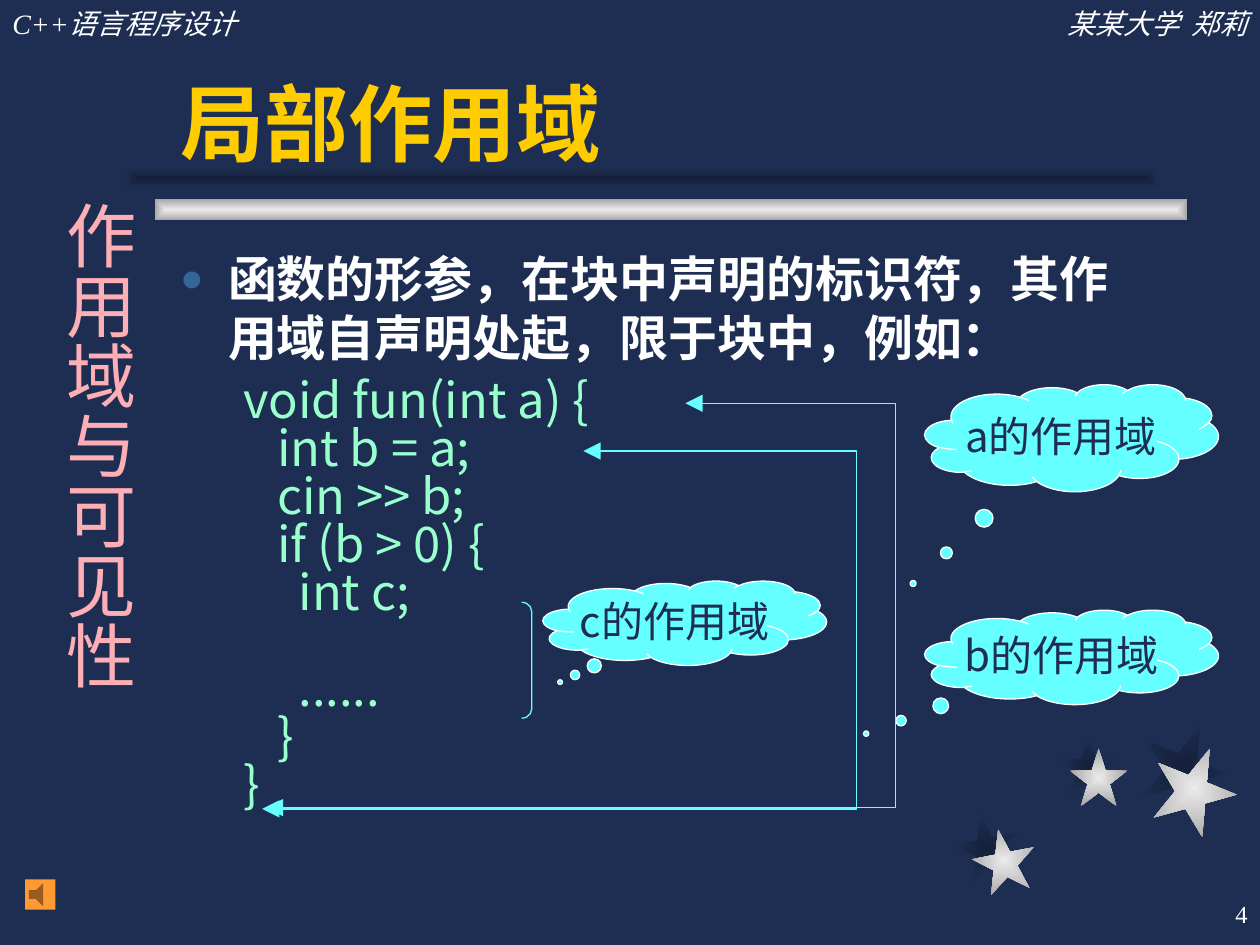
from lxml import etree
from pptx import Presentation
from pptx.dml.color import RGBColor
from pptx.enum import shapes, text
from pptx.oxml import ns
from pptx.util import Inches, Pt

COLORS = {
    "navy": "1E2E53", "shade": "15213B", "silver": "EAEAEA", "gray": "A7A7A7",
    "white": "FFFFFF", "gold": "FFCC00", "mint": "99FFCC", "cyan": "66FFFF",
    "pink": "FDAFB5", "bullet": "336699", "orange": "FF9933",
}
SANS, SERIF, TITLE = "Noto Sans CJK SC", "Times New Roman", "Arial"
SHAPE, ALIGN, ANCHOR = shapes.MSO_SHAPE, text.PP_ALIGN, text.MSO_ANCHOR


def rgb(name):
    return RGBColor.from_string(COLORS[name])


def child(parent, tag, **attrs):
    return etree.SubElement(parent, ns.qn(tag), attrs)


def add_run(p, words, size, color, font=SANS, bold=False, italic=False):
    r = p.add_run()
    r.text = words
    f = r.font
    f.size, f.name, f.bold, f.italic = Pt(size), font, bold, italic
    f.color.rgb = rgb(color)
    child(f._element, "a:ea", typeface=SANS)


def place(sp, box):
    sp.left, sp.top, sp.width, sp.height = (Inches(v) for v in box)


def frame(sp, anchor=ANCHOR.TOP, wrap=True):
    tf = sp.text_frame
    tf.auto_size = text.MSO_AUTO_SIZE.NONE
    tf.word_wrap, tf.vertical_anchor = wrap, anchor
    return tf


def add_label(s, box, words, size, color, align=ALIGN.LEFT, italic=False,
              anchor=ANCHOR.TOP):
    sp = s.shapes.add_textbox(*(Inches(v) for v in box))
    tf = frame(sp, anchor)
    p = tf.paragraphs[0]
    p.alignment = align
    add_run(p, words, size, color, SERIF, italic=italic)
    return tf


def add_preset(s, kind, box, fill=None, line=None):
    sp = s.shapes.add_shape(kind, *(Inches(v) for v in box))
    sp.shadow.inherit = False
    if fill:
        sp.fill.solid()
        sp.fill.fore_color.rgb = rgb(fill)
    else:
        sp.fill.background()
    if line:
        sp.line.color.rgb = rgb(line)
        sp.line.width = Pt(0.75)
    else:
        sp.line.fill.background()
    return sp


def add_glow(s, kind, box, inner, outer, rotation=0):
    """Shape whose gradient runs from its centre to its outline."""
    sp = add_preset(s, kind, box)
    sp.rotation = rotation
    sp.fill.gradient()
    for stop, color, pos in zip(sp.fill.gradient_stops, (inner, outer), (0, 1)):
        stop.color.rgb = rgb(color)
        stop.position = pos
    grad = sp._element.spPr.find(ns.qn("a:gradFill"))
    grad.remove(grad.find(ns.qn("a:lin")))
    center = child(grad, "a:path", path="shape")
    child(center, "a:fillToRect", l="50000", t="50000", r="50000", b="50000")


def add_decoration(s):
    # Stars: all shadows lie behind all the silver faces
    shadows = [(7.58, 6.47, 0.5, 349), (8.41, 5.85, 0.46, 0), (9.06, 5.75, 0.67, 22)]
    faces = [(7.72, 6.58, 0.5, 349), (8.49, 5.94, 0.46, 0), (9.14, 5.92, 0.67, 22)]
    for stars, inner, outer in ((shadows, "shade", "navy"), (faces, "silver", "gray")):
        for x, y, size, rotation in stars:
            add_glow(s, SHAPE.STAR_5_POINT, (x, y, size, size), inner, outer, rotation)
    # Bars under the title
    add_glow(s, SHAPE.RECTANGLE, (1.23, 1.58, 8.19, 0.17), "silver", "gray")
    add_glow(s, SHAPE.RECTANGLE, (1, 1.33, 8.19, 0.17), "shade", "navy")


def add_margins(s):
    # Running heads and page number
    add_label(s, (0, 0, 3.08, 0.37), "C++语言程序设计", 16, "white", italic=True)
    add_label(s, (6.92, 0, 3.08, 0.37), "某某大学  郑莉", 16, "white",
              ALIGN.RIGHT, italic=True)
    add_label(s, (7.92, 7, 2.08, 0.5), "4", 14, "white", ALIGN.RIGHT,
              anchor=ANCHOR.MIDDLE)


def add_title(s, box):
    sp = s.shapes.title
    place(sp, box)
    p = frame(sp, ANCHOR.BOTTOM).paragraphs[0]
    p.alignment = ALIGN.LEFT
    add_run(p, "局部作用域", 48, "gold", TITLE, bold=True)


def add_body(s, box):
    sp = s.placeholders[1]
    place(sp, box)
    tf = frame(sp)
    # Bulleted statement
    p = tf.paragraphs[0]
    p.space_before, p.space_after = Pt(5.6), Pt(7)
    pPr = p._p.get_or_add_pPr()
    pPr.set("marL", str(Inches(0.38)))
    pPr.set("indent", str(-Inches(0.38)))
    child(child(pPr, "a:buClr"), "a:srgbClr", val=COLORS["bullet"])
    child(pPr, "a:buSzPct", val="80000")
    child(pPr, "a:buChar", char="●")
    add_run(p, "函数的形参，在块中声明的标识符，其作用域自声明处起，限于块中，例如：",
            28, "white", bold=True)
    # Code: nesting depth sets the margin, a gap precedes the ellipsis
    margins = (0.5, 0.77, 0.94)
    code = [(0, "void fun(int a) {"), (1, "int b = a;"), (1, "cin >> b;"),
            (1, "if (b > 0) {"), (2, "int c;"), (2, "......"), (1, "}"), (0, "}")]
    for depth, words in code:
        p = tf.add_paragraph()
        p.level, p.line_spacing = 1, 0.65
        p.space_before = Pt(33 if words == "......" else 5.6)
        pPr = p._p.get_or_add_pPr()
        pPr.set("marL", str(Inches(margins[depth])))
        pPr.set("indent", "0")
        child(pPr, "a:buNone")
        add_run(p, words, 28, "mint")


def add_cloud(s, box, words, tail):
    sp = add_preset(s, SHAPE.CLOUD_CALLOUT, box, "cyan", "white")
    for i, value in enumerate(tail):
        sp.adjustments[i] = value
    p = frame(sp, ANCHOR.MIDDLE, wrap=False).paragraphs[0]
    p.alignment = ALIGN.CENTER
    add_run(p, words, 24, "navy")


def add_scope_line(s, box, start):
    """Two-headed line from a declaration around to the closing brace."""
    x, y, w, h = box
    points = [(start, y), (x + w, y), (x + w, y + h), (x, y + h)]
    points = [(Inches(a), Inches(b)) for a, b in points]
    builder = s.shapes.build_freeform(*points[0])
    builder.add_line_segments(points[1:], close=False)
    sp = builder.convert_to_shape()
    sp.shadow.inherit = False
    sp.fill.background()
    sp.line.color.rgb = rgb("cyan")
    sp.line.width = Pt(0.75)
    ln = sp._element.spPr.find(ns.qn("a:ln"))
    for end in ("a:headEnd", "a:tailEnd"):
        child(ln, end, type="triangle", w="lg", len="lg")


def add_scopes(s):
    # Scope of c
    add_cloud(s, (4.31, 4.61, 2.25, 0.67), "c的作用域", (-0.44, 0.7))
    sp = add_preset(s, SHAPE.RIGHT_BRACKET, (4.14, 4.78, 0.08, 0.92), line="cyan")
    sp.adjustments[0] = 0.92
    # Scope of b
    add_scope_line(s, (2.08, 3.58, 4.72, 2.84), 4.63)
    add_cloud(s, (7.34, 4.84, 2.33, 0.75), "b的作用域", (-0.7, 0.81))
    # Scope of a
    add_scope_line(s, (2.11, 3.2, 5, 3.21), 5.44)
    add_cloud(s, (7.34, 3.05, 2.33, 0.85), "a的作用域", (-0.54, 1.36))


def add_sidebar(s, box):
    tf = add_label(s, box, "作用域与可见性", 40, "pink")
    tf._txBody.bodyPr.set("vert", "eaVert")


def main():
    prs = Presentation()
    prs.slide_width, prs.slide_height = Inches(10), Inches(7.5)
    s = prs.slides.add_slide(prs.slide_layouts[1])
    s.background.fill.solid()
    s.background.fill.fore_color.rgb = rgb("navy")
    add_decoration(s)
    add_margins(s)
    add_title(s, (1.33, 0.5, 7.92, 0.92))
    add_body(s, (1.33, 1.92, 7.92, 5))
    add_scopes(s)
    add_sidebar(s, (0.3, 1.5, 0.87, 4.83))
    add_preset(s, SHAPE.ACTION_BUTTON_SOUND, (0.2, 6.98, 0.24, 0.24), "orange")
    prs.save("out.pptx")


if __name__ == "__main__":
    main()
